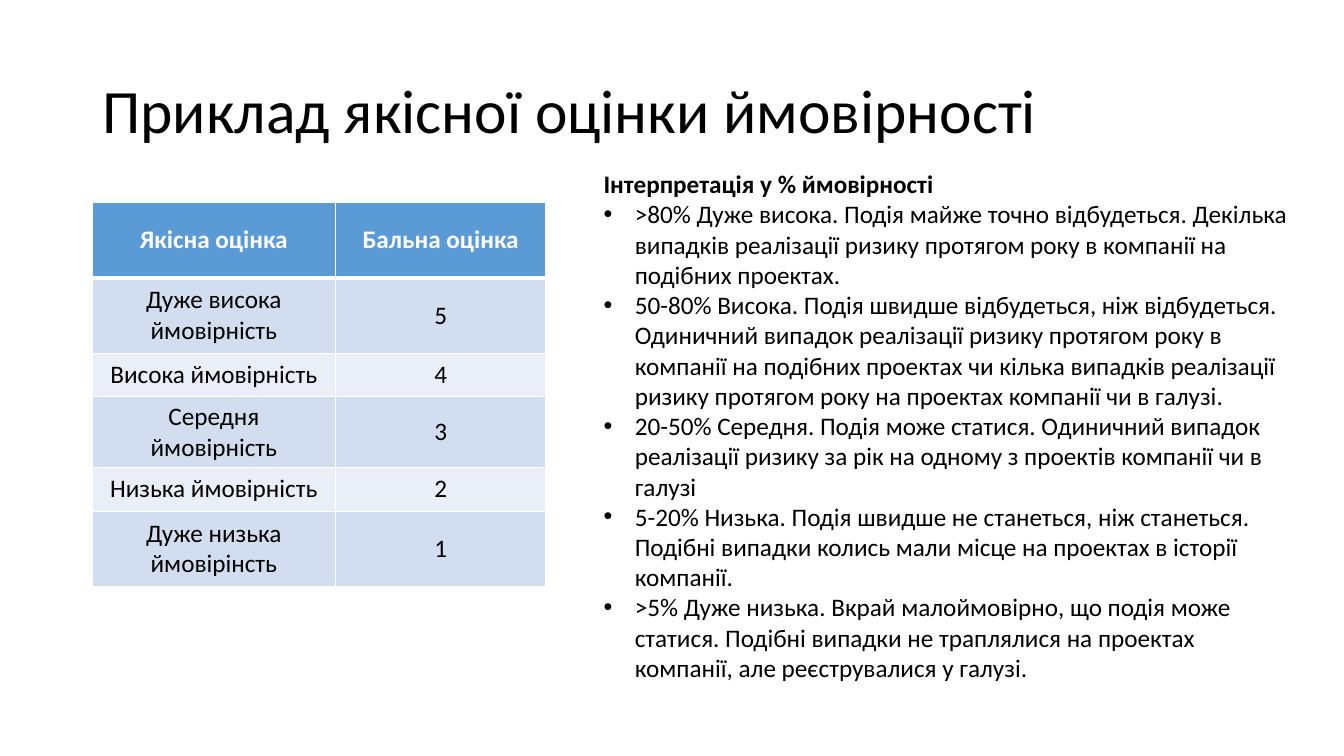
"""Build the slide on qualitative probability ratings."""
from dataclasses import dataclass

import lxml.etree
import pptx
import pptx.dml.color
import pptx.enum.text
import pptx.oxml.ns
import pptx.shapes.autoshape
import pptx.slide
import pptx.table
import pptx.text.text
import pptx.util

Cm = pptx.util.Cm
qn = pptx.oxml.ns.qn
MIDDLE = pptx.enum.text.MSO_ANCHOR.MIDDLE


@dataclass(frozen=True)
class Theme:
    """Colours, font and type sizes of the slide."""
    font: str = "Calibri"
    title_size: int = 44
    body_size: int = 18
    ink: str = "000000"
    white: str = "FFFFFF"
    header: str = "5B9BD5"
    bands: tuple[str, str] = ("D2DEEF", "EAEFF7")
    border: float = 1
    header_rule: float = 3


@dataclass(frozen=True)
class Area:
    """A rectangle on the slide, in centimetres."""
    left: float
    top: float
    width: float
    height: float


@dataclass(frozen=True)
class Rating:
    """A table row: quality label, score and row height in centimetres."""
    label: str
    score: str
    height: float


THEME = Theme()
TITLE = "Приклад якісної оцінки ймовірності"
TITLE_AREA = Area(2.33, 1.02, 29.21, 3.68)
TABLE_AREA = Area(2.33, 5.1, 11.43, 8.99)
NOTES_AREA = Area(14.96, 4.12, 17.88, 13.33)
COLUMN_WIDTHS = (6.12, 5.31)
BULLET_INDENT = 0.79
RATINGS = (
    Rating("Якісна оцінка", "Бальна оцінка", 1.9),
    Rating("Дуже висока ймовірність", "5", 1.9),
    Rating("Висока ймовірність", "4", 1.1),
    Rating("Середня ймовірність", "3", 1.1),
    Rating("Низька ймовірність", "2", 1.1),
    Rating("Дуже низька ймовірінсть", "1", 1.9),
)
NOTES_HEADING = "Інтерпретація у % ймовірності"
NOTES = (
    ">80% Дуже висока. Подія майже точно відбудеться. Декілька випадків реалізації "
    "ризику протягом року в компанії на подібних проектах.",
    "50-80% Висока. Подія швидше відбудеться, ніж відбудеться. Одиничний випадок "
    "реалізації ризику протягом року в компанії на подібних проектах чи кілька "
    "випадків реалізації ризику протягом року на проектах компанії чи в галузі.",
    "20-50% Середня. Подія може статися. Одиничний випадок реалізації ризику за рік "
    "на одному з проектів компанії чи в галузі",
    "5-20% Низька. Подія швидше не станеться, ніж станеться. Подібні випадки колись "
    "мали місце на проектах в історії компанії.",
    ">5% Дуже низька. Вкрай малоймовірно, що подія може статися. Подібні випадки не "
    "траплялися на проектах компанії, але реєструвалися у галузі.",
)


def colour(value: str) -> pptx.dml.color.RGBColor:
    """Turn a hex string into a colour."""
    return pptx.dml.color.RGBColor.from_string(value)


def place(area: Area) -> tuple[int, int, int, int]:
    """Give an area as slide lengths."""
    return Cm(area.left), Cm(area.top), Cm(area.width), Cm(area.height)


def style(para: pptx.text.text._Paragraph, size: int, ink: str, bold: bool = False) -> None:
    """Format every run of a paragraph."""
    for span in para.runs:
        span.font.name = THEME.font
        span.font.size = pptx.util.Pt(size)
        span.font.bold = bold
        span.font.color.rgb = colour(ink)


def add_box(page: pptx.slide.Slide, area: Area, text: str) -> pptx.shapes.autoshape.Shape:
    """Add a wrapping text box."""
    box = page.shapes.add_textbox(*place(area))
    box.text_frame.word_wrap = True
    box.text_frame.text = text
    return box


def add_bullet(para: pptx.text.text._Paragraph) -> None:
    """Give a paragraph a round bullet with a hanging indent."""
    properties = para._p.get_or_add_pPr()
    properties.set("marL", str(Cm(BULLET_INDENT)))
    properties.set("indent", str(-Cm(BULLET_INDENT)))
    lxml.etree.SubElement(properties, qn("a:buFont")).set("typeface", "Arial")
    lxml.etree.SubElement(properties, qn("a:buChar")).set("char", "•")


def add_borders(cell: pptx.table._Cell, bottom: float) -> None:
    """Draw white rules around a table cell."""
    properties = cell._tc.get_or_add_tcPr()
    widths = {"lnL": THEME.border, "lnR": THEME.border, "lnT": THEME.border, "lnB": bottom}
    for side, width in widths.items():
        line = lxml.etree.SubElement(properties, qn(f"a:{side}"))
        line.set("w", str(pptx.util.Pt(width)))
        fill = lxml.etree.SubElement(line, qn("a:solidFill"))
        lxml.etree.SubElement(fill, qn("a:srgbClr")).set("val", THEME.white)


def add_title(page: pptx.slide.Slide) -> None:
    """Add the slide title."""
    frame = add_box(page, TITLE_AREA, TITLE).text_frame
    frame.vertical_anchor = MIDDLE
    frame.paragraphs[0].line_spacing = 0.9
    style(frame.paragraphs[0], THEME.title_size, THEME.ink)


def add_ratings(page: pptx.slide.Slide) -> None:
    """Add the table of ratings and scores."""
    table = page.shapes.add_table(len(RATINGS), len(COLUMN_WIDTHS), *place(TABLE_AREA)).table
    for column, width in zip(table.columns, COLUMN_WIDTHS):
        column.width = Cm(width)
    for index, (row, rating) in enumerate(zip(table.rows, RATINGS)):
        row.height = Cm(rating.height)
        is_header = index == 0
        for cell, text in zip(row.cells, (rating.label, rating.score)):
            add_borders(cell, THEME.header_rule if is_header else THEME.border)
            cell.fill.solid()
            band = THEME.bands[(index - 1) % 2]
            cell.fill.fore_color.rgb = colour(THEME.header if is_header else band)
            cell.vertical_anchor = MIDDLE
            cell.text_frame.text = text
            para = cell.text_frame.paragraphs[0]
            para.alignment = pptx.enum.text.PP_ALIGN.CENTER
            style(para, THEME.body_size, THEME.white if is_header else THEME.ink, is_header)


def add_notes(page: pptx.slide.Slide) -> None:
    """Add the interpretation of each rating in per cent."""
    frame = add_box(page, NOTES_AREA, NOTES_HEADING).text_frame
    frame.auto_size = pptx.enum.text.MSO_AUTO_SIZE.SHAPE_TO_FIT_TEXT
    style(frame.paragraphs[0], THEME.body_size, THEME.ink, True)
    for note in NOTES:
        para = frame.add_paragraph()
        para.text = note
        add_bullet(para)
        style(para, THEME.body_size, THEME.ink)


def main() -> None:
    """Build and save the deck."""
    deck = pptx.Presentation()
    deck.slide_width, deck.slide_height = Cm(33.87), Cm(19.05)
    page = deck.slides.add_slide(deck.slide_layouts[6])
    add_title(page)
    add_ratings(page)
    add_notes(page)
    deck.save("out.pptx")


if __name__ == "__main__":
    main()
